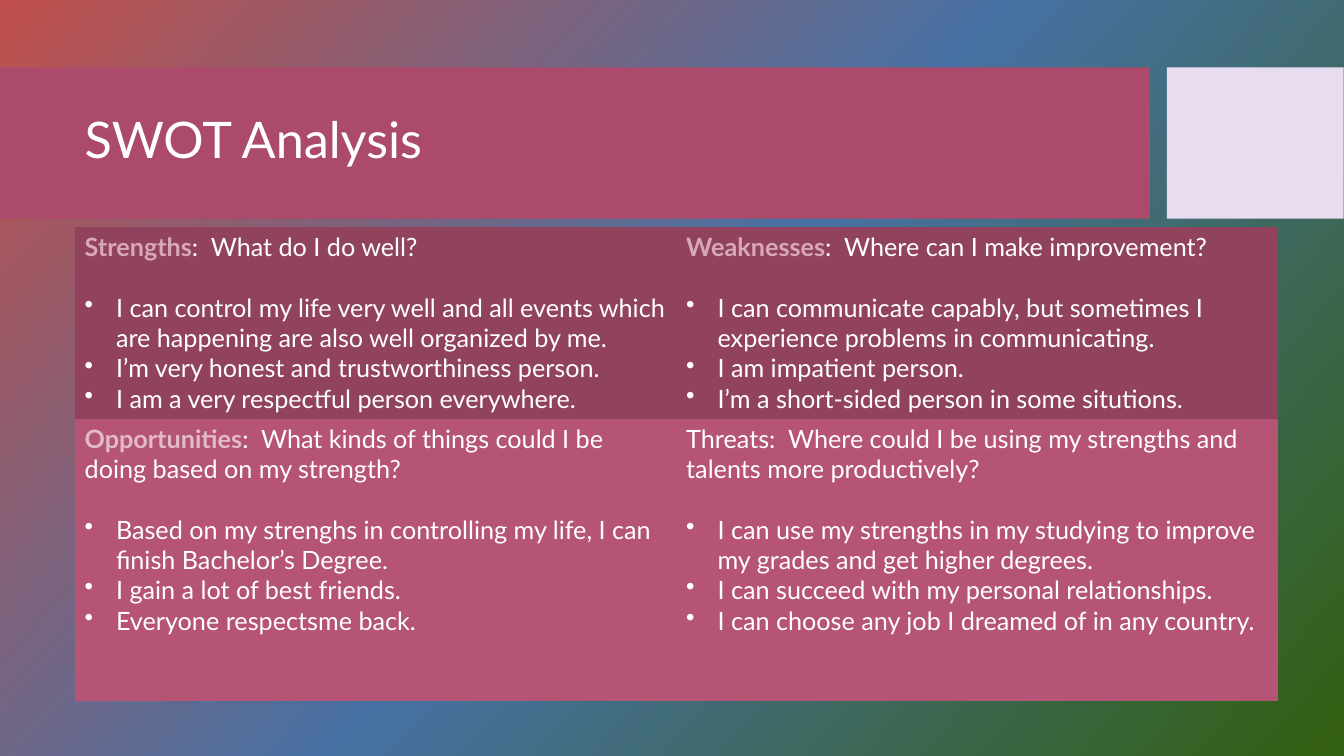
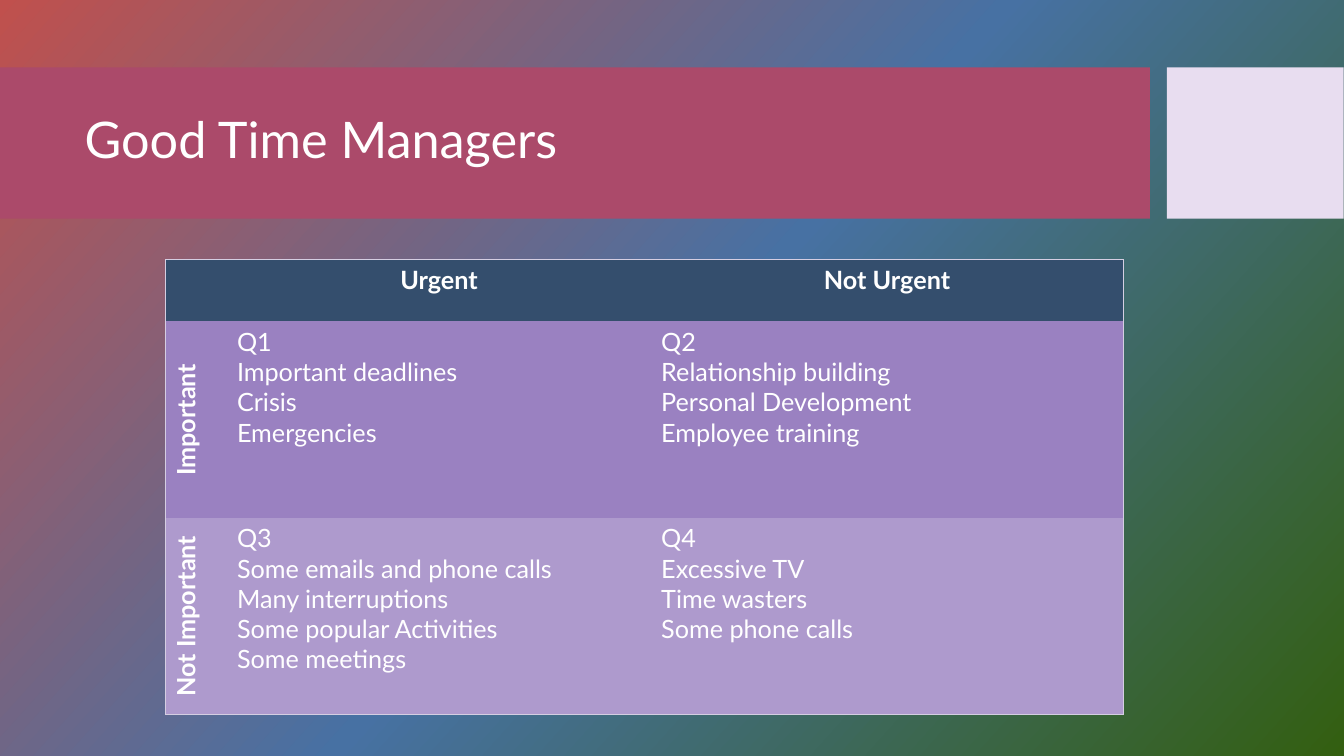
from copy import deepcopy
from dataclasses import dataclass

from pptx import Presentation
from pptx.dml.color import RGBColor as Rgb
from pptx.enum.shapes import MSO_SHAPE as Shape
from pptx.enum.text import MSO_ANCHOR as Anchor, MSO_AUTO_SIZE as Fit, PP_ALIGN as Align
from pptx.oxml.ns import qn
from pptx.oxml.xmlchemy import OxmlElement as Element
from pptx.util import Cm, Pt


@dataclass(frozen=True)
class Theme:
    font: str = "Lato"
    head: int = 36
    body: int = 18
    gap: float = 21.6
    white: str = "FFFFFF"
    back: tuple = ("C0504D", "4771A3", "335F10")
    band: str = "AB4A6A"
    tab: str = "E8DDF0"
    wine: str = "91435E"
    rose: str = "B55475"
    pale: str = "D9A8B8"
    blush: str = "E1BBC8"
    navy: str = "344E6D"
    violet: str = "9A81C1"
    lilac: str = "AE9ACD"
    edge: str = "D5CEE2"


class Deck:
    """Holds the theme, the file and the current slide."""

    def __init__(self, theme):
        self.theme = theme
        self.file = Presentation()
        self.file.slide_width, self.file.slide_height = Cm(33.87), Cm(19.05)
        self.layout = self.file.slide_layouts.get_by_name("Title Only")
        self.slide = None
        self.paint()

    def paint(self):
        """Give the master its diagonal three-colour gradient."""
        fill = self.file.slide_master.background.fill
        fill.gradient()
        fill.gradient_angle = 318
        last = fill.gradient_stops[1]
        stops = fill.gradient_stops[0].color, last.color
        for stop, color in zip(stops, self.theme.back[::2]):
            stop.rgb = Rgb.from_string(color)
        last.position = 1
        tree = self.file.slide_master.element.find(".//" + qn("a:gsLst"))
        mid = deepcopy(tree[0])
        mid.set("pos", "50000")
        mid.find(qn("a:srgbClr")).set("val", self.theme.back[1])
        tree.insert(1, mid)

    def bands(self):
        """Move the two header blocks behind the layout's title."""
        anchor = self.layout.placeholders[0].element
        for left, width, color in ((0, 28.98, self.theme.band), (29.41, 4.45, self.theme.tab)):
            box = self.slide.shapes.add_shape(
                Shape.RECTANGLE, Cm(left), Cm(1.7), Cm(width), Cm(3.81))
            box.shadow.inherit = False
            box.fill.solid()
            box.fill.fore_color.rgb = Rgb.from_string(color)
            box.line.fill.background()
            anchor.addprevious(box.element)

    def page(self, text):
        first = self.slide is None
        self.slide = self.file.slides.add_slide(self.layout)
        if first:
            self.bands()
        title = self.slide.shapes.title
        title.left, title.top, title.width, title.height = Cm(1.88), Cm(2.08), Cm(26.7), Cm(3)
        frame = title.text_frame
        frame.auto_size = Fit.NONE
        frame.vertical_anchor = Anchor.MIDDLE
        para = frame.paragraphs[0]
        para.alignment = Align.LEFT
        para.line_spacing = 0.9
        self.run(para, text, size=self.theme.head)

    def run(self, para, text, color=None, bold=False, size=None):
        run = para.add_run()
        run.text = text
        font = run.font
        font.name, font.bold = self.theme.font, bold
        font.size = Pt(size or self.theme.body)
        font.color.rgb = Rgb.from_string(color or self.theme.white)

    def lines(self, cell, texts, bold=False, align=Align.LEFT):
        """Write one paragraph per text into an empty cell."""
        frame = cell.text_frame
        for i, text in enumerate(texts):
            para = frame.add_paragraph() if i else frame.paragraphs[0]
            para.alignment = align
            self.run(para, text, bold=bold)

    def points(self, cell, head, items):
        """Write a heading, given as runs, and a bulleted list under it."""
        frame = cell.text_frame
        top = frame.paragraphs[0]
        top.space_after = Pt(self.theme.gap)
        for part in head:
            self.run(top, *part)
        for item in items:
            para = frame.add_paragraph()
            self.run(para, item)
            prop = para._p.get_or_add_pPr()
            prop.set("marL", str(Cm(0.79)))
            prop.set("indent", str(-Cm(0.79)))
            mark = Element("a:buChar")
            mark.set("char", "•")
            prop.append(mark)

    def table(self, left, top, cols, rows, fills, edge=None):
        """Add a table with one fill per row and an optional outer border."""
        frame = self.slide.shapes.add_table(
            len(rows), len(cols), Cm(left), Cm(top), Cm(sum(cols)), Cm(sum(rows)))
        grid = frame.table
        grid.first_row = grid.horz_banding = False
        style = frame.element.find(".//" + qn("a:tableStyleId"))
        style.text = "{2D5ABB26-0587-4C30-8999-92F81FD0307C}"
        for col, width in zip(grid.columns, cols):
            col.width = Cm(width)
        for y, (row, height) in enumerate(zip(grid.rows, rows)):
            row.height = Cm(height)
            for x, cell in enumerate(row.cells):
                if edge:
                    sides = {"L": x == 0, "R": x == len(cols) - 1,
                             "T": y == 0, "B": y == len(rows) - 1}
                    self.border(cell, [side for side, on in sides.items() if on], edge)
                cell.fill.solid()
                cell.fill.fore_color.rgb = Rgb.from_string(fills[y])
        return grid

    def border(self, cell, sides, color):
        prop = cell._tc.get_or_add_tcPr()
        for side in sides:
            line = Element("a:ln" + side)
            line.set("w", str(Pt(0.75)))
            fill, tone = Element("a:solidFill"), Element("a:srgbClr")
            tone.set("val", color)
            fill.append(tone)
            line.append(fill)
            prop.append(line)


def swot(deck):
    theme = deck.theme
    deck.page("SWOT Analysis")
    grid = deck.table(1.88, 5.72, [15.16] * 2, [4.83, 7.11], [theme.wine, theme.rose])
    parts = [
        ([("Strengths", theme.pale, True), (":  What do I do well?",)],
         ["I can control my life very well and all events which are happening "
          "are also well organized by me.",
          "I’m very honest and trustworthiness person.",
          "I am a very respectful person everywhere."]),
        ([("Weaknesses", theme.pale, True), (":  Where can I make improvement?",)],
         ["I can communicate capably, but sometimes I experience problems in communicating.",
          "I am impatient person.",
          "I’m a short-sided person in some situtions."]),
        ([("Opportunities", theme.blush, True),
          (":  What kinds of things could I be doing based on my strength?",)],
         ["Based on my strenghs in controlling my life, I can finish Bachelor’s Degree.",
          "I gain a lot of best friends.",
          "Everyone respectsme back."]),
        ([("Threats:  Where could I be using my strengths and talents more productively?",)],
         ["I can use my strengths in my studying to improve my grades and get higher degrees.",
          "I can succeed with my personal relationships.",
          "I can choose any job I dreamed of in any country."]),
    ]
    for cell, (head, items) in zip(grid.iter_cells(), parts):
        deck.points(cell, head, items)


def time(deck):
    theme = deck.theme
    deck.page("Good Time Managers")
    grid = deck.table(4.17, 6.55, [1.55, 10.69, 11.89], [1.55, 4.95, 4.95],
                      [theme.navy, theme.violet, theme.lilac], theme.edge)
    for x, text in enumerate(["Urgent", "Not Urgent"], 1):
        deck.lines(grid.cell(0, x), [text], True, Align.CENTER)
    rows = [
        ("Important",
         ["Q1", "Important deadlines", "Crisis", "Emergencies"],
         ["Q2", "Relationship building", "Personal Development", "Employee training"]),
        ("Not Important",
         ["Q3", "Some emails and phone calls", "Many interruptions",
          "Some popular Activities", "Some meetings"],
         ["Q4", "Excessive TV", "Time wasters", "Some phone calls"]),
    ]
    for y, (label, *lists) in enumerate(rows, 1):
        side = grid.cell(y, 0)
        deck.lines(side, [label], True, Align.CENTER)
        side._tc.get_or_add_tcPr().set("vert", "vert270")
        for x, texts in enumerate(lists, 1):
            deck.lines(grid.cell(y, x), texts)


def main():
    deck = Deck(Theme())
    swot(deck)
    time(deck)
    deck.file.save("out.pptx")


if __name__ == "__main__":
    main()
